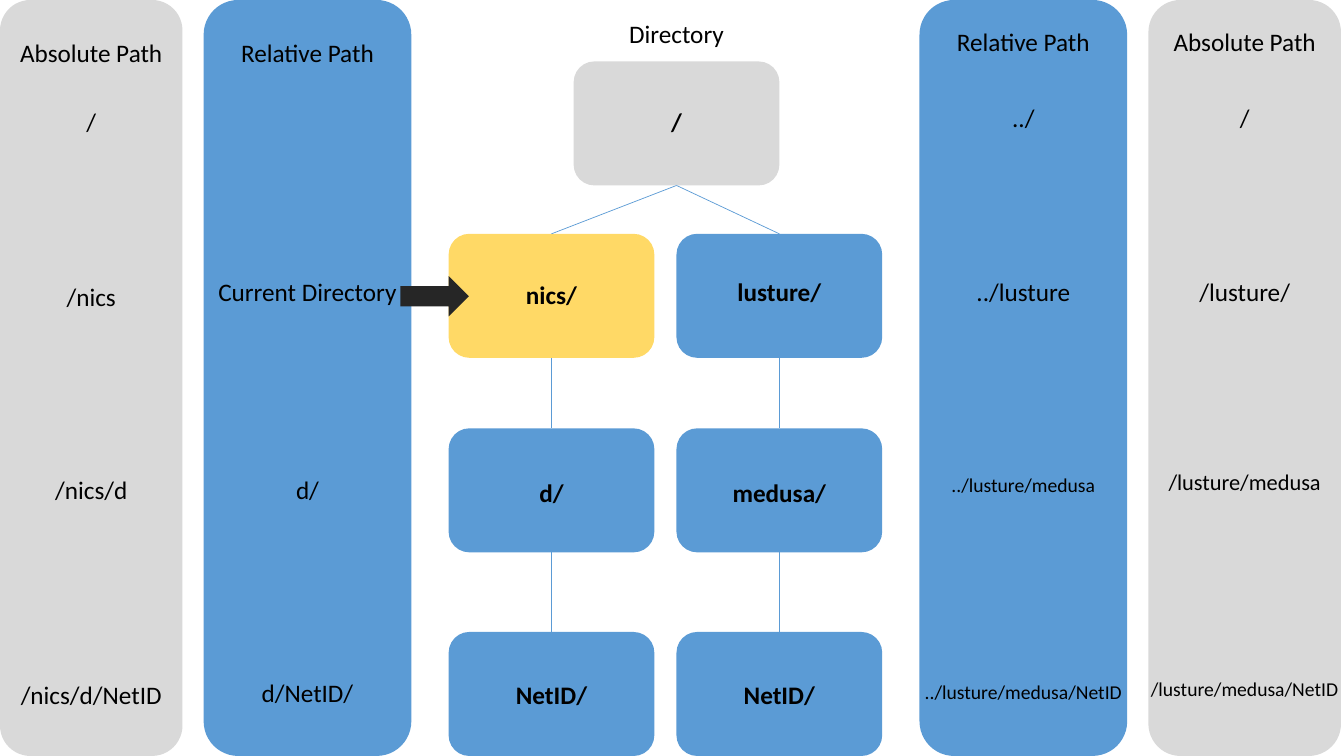
"""Build a slide that compares absolute and relative paths in a directory tree."""
from dataclasses import dataclass

from lxml import etree
from pptx import Presentation
from pptx import util as u
from pptx.dml.color import RGBColor
from pptx.enum import shapes, text
from pptx.oxml.ns import qn


@dataclass(frozen=True)
class Theme:
    """Colours, font and type sizes of the slide."""
    gray: str = "D9D9D9"
    blue: str = "5B9BD5"
    yellow: str = "FFD966"
    dark: str = "262626"
    ink: str = "000000"
    font: str = "Calibri"
    body: int = 18
    medium: int = 16
    small: int = 14
    line: float = 0.5


THEME = Theme()
LABEL_HEIGHTS = {THEME.body: 0.4, THEME.medium: 0.37, THEME.small: 0.34}
SLIDE_HEIGHT = 7.5
NODE_WIDTH, NODE_HEIGHT = 2.04, 1.23
ROOT_LEFT, ROOT_TOP = 5.69, 0.61
LEVEL_TOPS = (2.32, 4.25, 6.27)

BRANCHES = (
    (4.45, (("nics/", 2.72, THEME.yellow), ("d/", 4.69, THEME.blue),
            ("NetID/", 6.69, THEME.blue))),
    (6.71, (("lusture/", 2.69, THEME.blue), ("medusa/", 4.69, THEME.blue),
            ("NetID/", 6.69, THEME.blue))),
)

PATH_COLUMNS = (
    (0, 1.81, THEME.gray, (
        ("Absolute Path", 0.32, THEME.body, 0),
        ("/", 1.01, THEME.body, 0),
        ("/nics", 2.74, THEME.body, 0),
        ("/nics/d", 4.66, THEME.body, 0),
        ("/nics/d/NetID", 6.69, THEME.body, 0))),
    (2.02, 2.06, THEME.blue, (
        ("Relative Path", 0.32, THEME.body, 0),
        ("Current Directory", 2.69, THEME.body, 0),
        ("d/", 4.66, THEME.body, 0),
        ("d/NetID/", 6.67, THEME.body, 0))),
    (9.12, 2.06, THEME.blue, (
        ("Relative Path", 0.21, THEME.body, 0),
        ("../", 0.97, THEME.body, 0),
        ("../lusture", 2.69, THEME.body, 0),
        ("../lusture/medusa", 4.64, THEME.small, 0),
        ("../lusture/medusa/NetID", 6.7, THEME.small, 0.08))),
    (11.39, 1.91, THEME.gray, (
        ("Absolute Path", 0.21, THEME.body, 0),
        ("/", 0.97, THEME.body, 0),
        ("/lusture/", 2.69, THEME.body, 0),
        ("/lusture/medusa", 4.6, THEME.medium, 0),
        ("/lusture/medusa/NetID", 6.67, THEME.small, 0.13))),
)


def add_block(page, kind, left, top, width, height, color):
    """Add a filled preset shape without outline or shadow."""
    block = page.shapes.add_shape(kind, *map(u.Inches, (left, top, width, height)))
    block.shadow.inherit = False
    block.fill.solid()
    block.fill.fore_color.rgb = RGBColor.from_string(color)
    block.line.fill.background()


def add_label(page, words, left, top, width, size=THEME.body, bold=False):
    """Add one centred line of text."""
    height = LABEL_HEIGHTS[size]
    box = page.shapes.add_textbox(*map(u.Inches, (left, top, width, height)))
    frame = box.text_frame
    frame.word_wrap = True
    frame.auto_size = text.MSO_AUTO_SIZE.SHAPE_TO_FIT_TEXT
    frame.text = words
    para = frame.paragraphs[0]
    para.alignment = text.PP_ALIGN.CENTER
    font = para.runs[0].font
    font.name = THEME.font
    font.size = u.Pt(size)
    font.bold = bold
    font.color.rgb = RGBColor.from_string(THEME.ink)


def add_link(page, start, end):
    """Add a thin straight line between two points."""
    link = page.shapes.add_connector(
        shapes.MSO_CONNECTOR.STRAIGHT, *map(u.Inches, start + end))
    link.line.color.rgb = RGBColor.from_string(THEME.blue)
    link.line.width = u.Pt(THEME.line)
    etree.SubElement(link._element.spPr, qn("a:effectLst"))


def add_node(page, words, left, top, label_top, color):
    """Add a directory of the tree with its bold name."""
    add_block(page, shapes.MSO_SHAPE.ROUNDED_RECTANGLE,
              left, top, NODE_WIDTH, NODE_HEIGHT, color)
    add_label(page, words, left, label_top, NODE_WIDTH, bold=True)


def add_branch(page, left, nodes):
    """Add a chain of directories linked down from the root."""
    center = left + NODE_WIDTH / 2
    start = (ROOT_LEFT + NODE_WIDTH / 2, ROOT_TOP + NODE_HEIGHT)
    for top, (words, label_top, color) in zip(LEVEL_TOPS, nodes):
        add_node(page, words, left, top, label_top, color)
        add_link(page, start, (center, top))
        start = (center, top + NODE_HEIGHT)


def add_path_column(page, left, width, color, entries):
    """Add a full-height column of paths."""
    add_block(page, shapes.MSO_SHAPE.ROUNDED_RECTANGLE,
              left, 0, width, SLIDE_HEIGHT, color)
    for words, top, size, overhang in entries:
        add_label(page, words, left - overhang, top, width + 2 * overhang, size)


def main():
    """Build and save the slide."""
    deck = Presentation()
    deck.slide_width = u.Inches(13.33)
    deck.slide_height = u.Inches(SLIDE_HEIGHT)
    page = deck.slides.add_slide(deck.slide_layouts[6])
    for column in PATH_COLUMNS:
        add_path_column(page, *column)
    add_label(page, "Directory", ROOT_LEFT, 0.13, NODE_WIDTH)
    add_node(page, "/", ROOT_LEFT, ROOT_TOP, 1.01, THEME.gray)
    for branch in BRANCHES:
        add_branch(page, *branch)
    add_block(page, shapes.MSO_SHAPE.RIGHT_ARROW, 3.97, 2.74, 0.68, 0.4, THEME.dark)
    deck.save("out.pptx")


if __name__ == "__main__":
    main()
